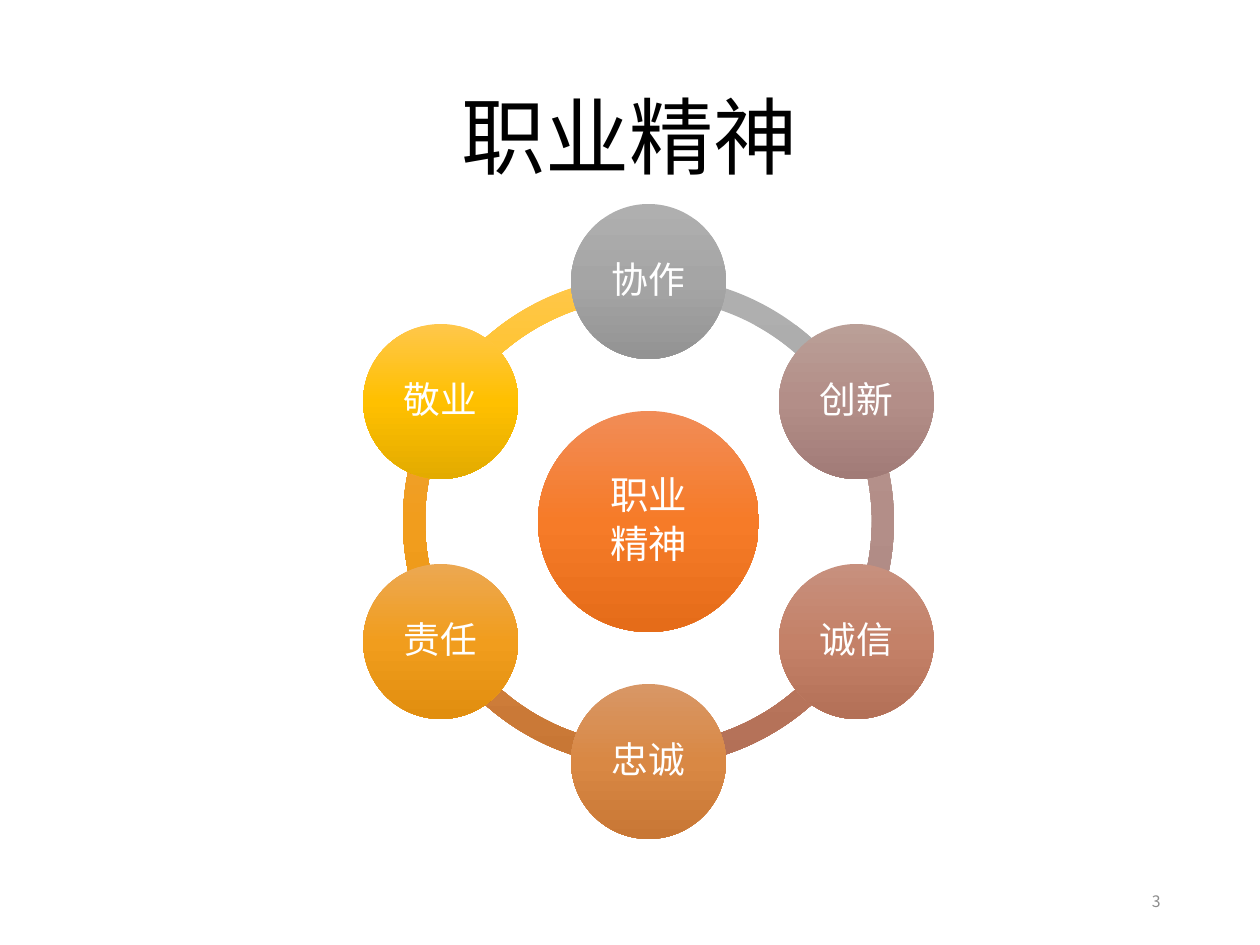
import copy
import math
import lxml.etree
import pptx
import pptx.util
import pptx.dml.color
import pptx.enum.shapes
import pptx.enum.text
import pptx.oxml.ns

PX = 914400 // 126
FONT = "Noto Sans CJK SC"
SHAPE = pptx.enum.shapes.MSO_SHAPE
ALIGN = pptx.enum.text.PP_ALIGN
MIDDLE = pptx.enum.text.MSO_ANCHOR.MIDDLE
COLORS = {
    "ink": "000000",
    "white": "FFFFFF",
    "page": "8C8C8C",
    "hub": ["F18C57", "F67B28", "E56C19"],
    "协作": ["AFAFAF", "A5A5A5", "939393"],
    "创新": ["BA9F97", "B38E88", "A17B77"],
    "诚信": ["C7907E", "C48168", "B37057"],
    "忠诚": ["D89766", "D98844", "C87735"],
    "责任": ["ECA852", "F19D1D", "E18E0F"],
    "敬业": ["FFC74B", "FFC000", "E3AB00"],
}
NODES = ["协作", "创新", "诚信", "忠诚", "责任", "敬业"]


def color(code):
    return pptx.dml.color.RGBColor.from_string(code)


def write(frame, text, size, ink, align, line=None, after=None):
    frame.text = text
    frame.word_wrap = True
    frame.vertical_anchor = MIDDLE
    for para in frame.paragraphs:
        para.alignment = align
        para.line_spacing = line
        para.space_after = after
        for run in para.runs:
            run.font.size = pptx.util.Pt(size)
            run.font.name = FONT
            run.font.color.rgb = color(COLORS[ink])
            east = lxml.etree.SubElement(run.font._element, pptx.oxml.ns.qn("a:ea"))
            east.set("typeface", FONT)


def shade(shape, codes):
    shape.shadow.inherit = False
    shape.line.fill.background()
    shape.fill.gradient()
    shape.fill.gradient_angle = 270
    first = shape._element.spPr.find(".//" + pptx.oxml.ns.qn("a:gs"))
    first.addnext(copy.deepcopy(first))
    for stop, place, code in zip(shape.fill.gradient_stops, (0, 0.5, 1), codes):
        stop.position = place
        stop.color.rgb = color(code)


def draw(slide, kind, x, y, size, codes):
    left, top = round((x - size / 2) * PX), round((y - size / 2) * PX)
    shape = slide.shapes.add_shape(kind, left, top, size * PX, size * PX)
    shade(shape, codes)
    return shape


def disc(slide, x, y, size, codes, text, points):
    shape = draw(slide, SHAPE.OVAL, x, y, size, codes)
    frame = shape.text_frame
    frame.margin_left = frame.margin_right = 4 * PX
    frame.margin_top = frame.margin_bottom = 4 * PX
    write(frame, text, points, "white", ALIGN.CENTER, 0.9, pptx.util.Pt(4))


def title(slide, left, top, width, height):
    shape = slide.shapes.title
    shape.left, shape.top = left * PX, top * PX
    shape.width, shape.height = width * PX, height * PX
    write(shape.text_frame, "职业精神", 48, "ink", ALIGN.CENTER, 0.9)


def wheel(slide, left, top, size):
    x, y = left + size / 2, top + size / 2
    node, hub, ring = 155, 221, 491
    reach = (size - node) / 2
    step = 360 / len(NODES)
    turns = [(270 + step * i) % 360 for i in range(len(NODES))]
    for name, turn in zip(NODES, turns):
        arc = draw(slide, SHAPE.BLOCK_ARC, x, y, ring, COLORS[name])
        arc.adjustments[0] = turn * 0.6
        arc.adjustments[1] = (turn + step) % 360 * 0.6
        arc.adjustments[2] = 0.045
    disc(slide, x, y, hub, COLORS["hub"], "职业\n精神", 22)
    for name, turn in zip(NODES, turns):
        angle = math.radians(turn)
        disc(slide, x + reach * math.cos(angle), y + reach * math.sin(angle),
             node, COLORS[name], name, 21)


def page(slide, left, top, width, height):
    box = slide.shapes.add_textbox(left * PX, top * PX, width * PX, height * PX)
    write(box.text_frame, "3", 9, "page", ALIGN.RIGHT)


def main():
    deck = pptx.Presentation()
    deck.slide_width = pptx.util.Inches(10)
    deck.slide_height = pptx.util.Inches(7.5)
    slide = deck.slides.add_slide(deck.slide_layouts[5])
    title(slide, 87, 50, 1086, 183)
    page(slide, 890, 876, 283, 50)
    wheel(slide, 331, 204, 635)
    deck.save("out.pptx")


if __name__ == "__main__":
    main()
